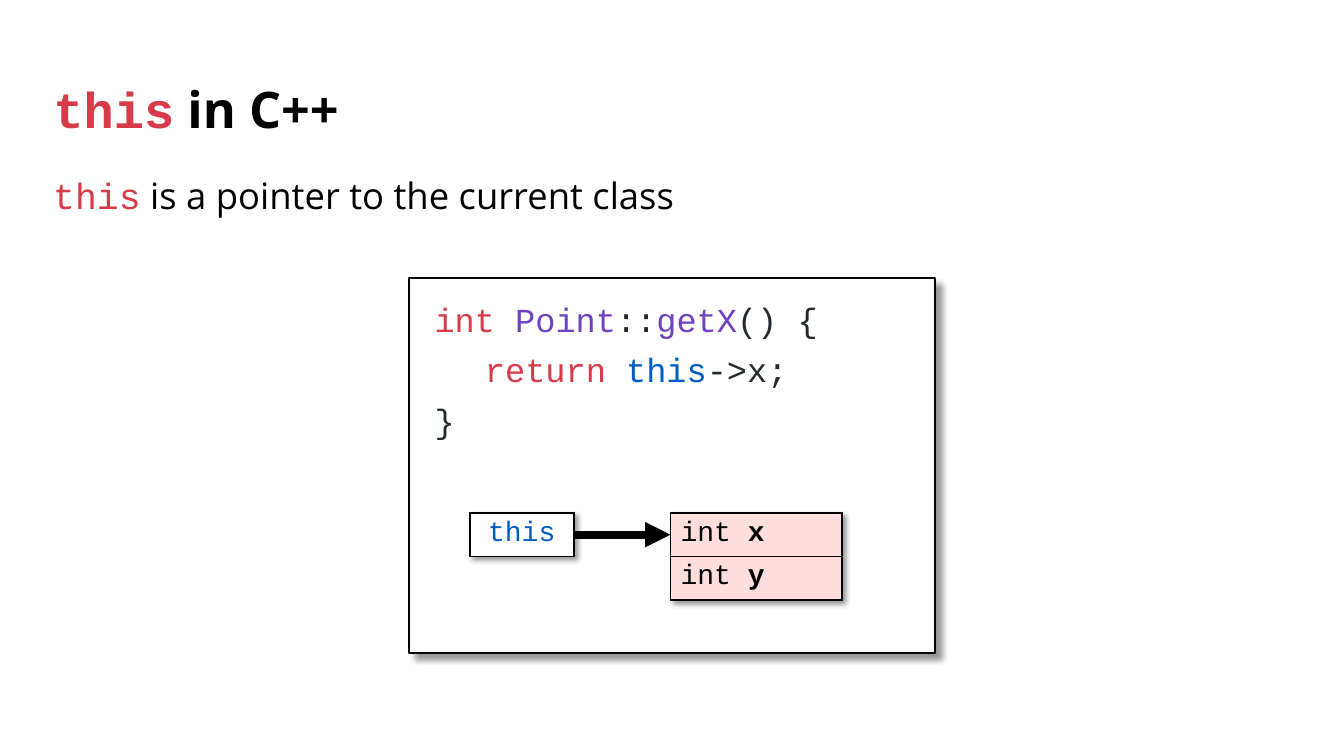
from dataclasses import dataclass
from typing import Optional

from lxml import etree
from pptx import Presentation
from pptx.dml.color import RGBColor
from pptx.enum.shapes import MSO_CONNECTOR as Connector, MSO_SHAPE as Preset
from pptx.enum.text import MSO_ANCHOR as Anchor, PP_ALIGN as Align
from pptx.oxml import parse_xml
from pptx.oxml.ns import nsdecls, qn
from pptx.util import Inches, Pt

MONO = "Courier New"
SANS = "Open Sans"
BLACK = RGBColor(0x00, 0x00, 0x00)
WHITE = RGBColor(0xFF, 0xFF, 0xFF)
PINK = RGBColor(0xFF, 0xDD, 0xDD)
KEYWORD = RGBColor(0xD7, 0x3A, 0x49)
HEADING_RED = RGBColor(0xD7, 0x3A, 0x48)
NAME = RGBColor(0x6F, 0x42, 0xC1)
PLAIN = RGBColor(0x24, 0x29, 0x2E)
POINTER = RGBColor(0x00, 0x5C, 0xC5)

ROW_HEIGHT = 0.43
MEMORY_TOP = 5.09
POINTER_LEFT, POINTER_WIDTH = 4.66, 1.03
OBJECT_LEFT, OBJECT_WIDTH = 6.65, 1.7


@dataclass(frozen=True)
class Span:
    text: str
    color: RGBColor = BLACK
    font: str = MONO
    bold: bool = False


@dataclass(frozen=True)
class MemoryBlock:
    left: float
    width: float
    fill: RGBColor
    align: Align
    rows: list[list[Span]]


CODE = [
    [Span("int ", KEYWORD), Span("Point", NAME), Span("::", PLAIN),
     Span("getX", NAME), Span("() {", PLAIN)],
    [Span("\treturn ", KEYWORD), Span("this", POINTER), Span("->x;", PLAIN)],
    [Span("}", PLAIN)],
]
BLOCKS = [
    MemoryBlock(OBJECT_LEFT, OBJECT_WIDTH, PINK, Align.LEFT,
                [[Span("int "), Span(field, bold=True)] for field in "xy"]),
    MemoryBlock(POINTER_LEFT, POINTER_WIDTH, WHITE, Align.CENTER,
                [[Span("this", POINTER)]]),
]


def write_spans(para, spans: list[Span], size: int, align: Align = Align.LEFT,
                line_spacing: Optional[float] = None) -> None:
    para.alignment = align
    if line_spacing:
        para.line_spacing = line_spacing
    for item in spans:
        span = para.add_run()
        span.text = item.text
        span.font.name = item.font
        span.font.size = Pt(size)
        span.font.bold = item.bold
        span.font.color.rgb = item.color


def shadow_effect(blur: float, distance: float) -> etree._Element:
    return parse_xml(
        f'<a:effectLst {nsdecls("a")}><a:outerShdw blurRad="{Pt(blur)}" dist="{Pt(distance)}" '
        'dir="2700000" algn="tl" rotWithShape="0"><a:srgbClr val="000000">'
        '<a:alpha val="40000"/></a:srgbClr></a:outerShdw></a:effectLst>')


def add_title(page) -> None:
    title = page.shapes.title
    title.left, title.top = Inches(0.43), Inches(0.69)
    title.width, title.height = Inches(12.06), Inches(0.84)
    title.text_frame.vertical_anchor = Anchor.MIDDLE
    write_spans(title.text_frame.paragraphs[0],
                [Span("this", HEADING_RED, bold=True), Span(" in C++", font=SANS, bold=True)],
                36, line_spacing=0.9)


def add_summary(page) -> None:
    box = page.shapes.add_textbox(Inches(0.43), Inches(1.75), Inches(12.47), Inches(0.47))
    box.text_frame.word_wrap = True
    write_spans(box.text_frame.paragraphs[0],
                [Span("this", HEADING_RED), Span(" is a pointer to the current class", font=SANS)],
                26, line_spacing=0.8)


def add_code_panel(page) -> None:
    panel = page.shapes.add_shape(Preset.RECTANGLE, Inches(4.06), Inches(2.76),
                                  Inches(5.21), Inches(3.72))
    panel.fill.solid()
    panel.fill.fore_color.rgb = WHITE
    panel.line.color.rgb = BLACK
    panel.line.width = Pt(1.5)
    panel.element.spPr.append(shadow_effect(4, 6))
    frame = panel.text_frame
    frame.word_wrap = True
    frame.vertical_anchor = Anchor.TOP
    frame.margin_left = frame.margin_right = Inches(0.25)
    frame.margin_top = frame.margin_bottom = Inches(0.25)
    for index, spans in enumerate(CODE):
        para = frame.add_paragraph() if index else frame.paragraphs[0]
        if index:
            para.space_before = Pt(10)
        write_spans(para, spans, 24, line_spacing=0.9)
        tabs = etree.SubElement(para._p.get_or_add_pPr(), qn("a:tabLst"))
        etree.SubElement(tabs, qn("a:tab"), pos=str(Inches(0.5)), algn="l")


def add_borders(cell) -> None:
    properties = cell._tc.get_or_add_tcPr()
    for index, side in enumerate("LRTB"):
        properties.insert(index, parse_xml(
            f'<a:ln{side} {nsdecls("a")} w="{Pt(1.5)}"><a:solidFill>'
            f'<a:srgbClr val="{BLACK}"/></a:solidFill></a:ln{side}>'))


def add_memory_block(page, block: MemoryBlock) -> None:
    count = len(block.rows)
    table = page.shapes.add_table(count, 1, Inches(block.left), Inches(MEMORY_TOP),
                                  Inches(block.width), Inches(ROW_HEIGHT * count)).table
    table.first_row = table.horz_banding = False
    table._tbl.tblPr.insert(0, shadow_effect(4, 3))
    for index, spans in enumerate(block.rows):
        cell = table.cell(index, 0)
        cell.fill.solid()
        cell.fill.fore_color.rgb = block.fill
        add_borders(cell)
        write_spans(cell.text_frame.paragraphs[0], spans, 20, block.align)


def add_pointer_arrow(page) -> None:
    middle = Inches(MEMORY_TOP + ROW_HEIGHT / 2)
    arrow = page.shapes.add_connector(Connector.STRAIGHT, Inches(POINTER_LEFT + POINTER_WIDTH),
                                      middle, Inches(OBJECT_LEFT), middle)
    arrow.line.color.rgb = BLACK
    arrow.line.width = Pt(6)
    etree.SubElement(arrow.line._get_or_add_ln(), qn("a:tailEnd"),
                     type="triangle", w="med", len="med")
    etree.SubElement(arrow._element.spPr, qn("a:effectLst"))


def main() -> None:
    deck = Presentation()
    deck.slide_width, deck.slide_height = Inches(13.33), Inches(7.5)
    page = deck.slides.add_slide(deck.slide_layouts[5])
    add_code_panel(page)
    add_title(page)
    for block in BLOCKS:
        add_memory_block(page, block)
    add_pointer_arrow(page)
    add_summary(page)
    deck.save("out.pptx")


if __name__ == "__main__":
    main()
